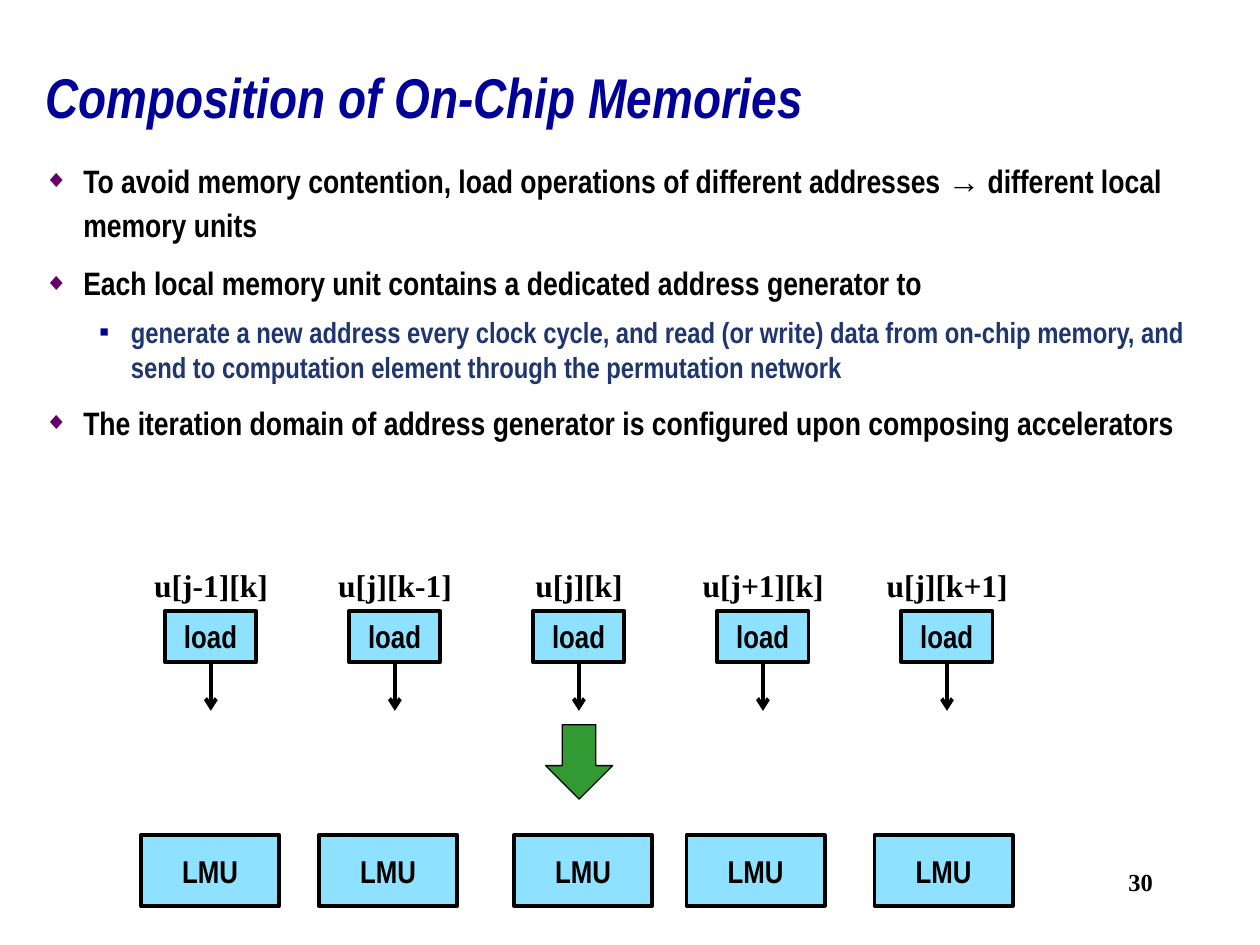
from lxml.etree import SubElement
from pptx import Presentation
from pptx.dml.color import RGBColor
from pptx.enum.shapes import MSO_CONNECTOR, MSO_SHAPE
from pptx.enum.text import MSO_ANCHOR, MSO_AUTO_SIZE, PP_ALIGN
from pptx.oxml.ns import qn
from pptx.util import Cm, Pt

# Content
TITLE = "Composition of On-Chip Memories"
PAGE_NUMBER = "30"
BULLETS = [  # level, text
    (0, "To avoid memory contention, load operations of different addresses → different local memory units"),
    (0, "Each local memory unit contains a dedicated address generator to"),
    (1, "generate a new address every clock cycle, and read (or write) data from on-chip memory, "
        "and send to computation element through the permutation network"),
    (0, "The iteration domain of address generator is configured upon composing accelerators"),
]
LOADS = ["u[j-1][k]", "u[j][k-1]", "u[j][k]", "u[j+1][k]", "u[j][k+1]"]
MEMORY_LEFTS = [2.84, 6.43, 10.36, 13.84, 17.63]

# Style
NARROW, SERIF = "Arial Narrow", "Times New Roman"
BLACK, NAVY, SKY, GREEN = "000000", "000099", "8FE2FF", "339933"
LEVELS = [
    dict(size=18.5, color=BLACK, margin=0.79, hanging=0.79, spacing=1.15, before=7.5,
         mark="◆", mark_color="660066", mark_size=75),
    dict(size=16.6, color="1F366F", margin=1.75, hanging=0.64, spacing=1.0, before=6.8,
         mark="▪", mark_color=NAVY, mark_size=100),
]
FIRST_CENTER, PITCH = 4.25, 3.71


def rgb(value):
    return RGBColor.from_string(value)


def set_font(para, name, size, color=BLACK):
    font = para.font
    font.name, font.size, font.bold = name, Pt(size), True
    font.color.rgb = rgb(color)


def add_text(left, top, width, height, text, name, size, align):
    box = page.shapes.add_textbox(Cm(left), Cm(top), Cm(width), Cm(height))
    box.text_frame.word_wrap = True
    para = box.text_frame.paragraphs[0]
    para.text, para.alignment = text, align
    set_font(para, name, size)


def add_block(kind, left, top, width, height, fill, line_width):
    block = page.shapes.add_shape(kind, Cm(left), Cm(top), Cm(width), Cm(height))
    block.shadow.inherit = False
    block.fill.solid()
    block.fill.fore_color.rgb = rgb(fill)
    block.line.color.rgb = rgb(BLACK)
    block.line.width = Pt(line_width)
    return block


def add_unit(left, top, width, height, text):
    frame = add_block(MSO_SHAPE.RECTANGLE, left, top, width, height, SKY, 2.25).text_frame
    frame.vertical_anchor = MSO_ANCHOR.MIDDLE
    para = frame.paragraphs[0]
    para.text, para.alignment = text, PP_ALIGN.CENTER
    set_font(para, NARROW, 18)


def add_down_line(x, top, bottom):
    line = page.shapes.add_connector(MSO_CONNECTOR.STRAIGHT, Cm(x), Cm(top), Cm(x), Cm(bottom))
    line.line.color.rgb = rgb(BLACK)
    line.line.width = Pt(2.25)
    SubElement(line.line._get_or_add_ln(), qn("a:tailEnd"), type="arrow")
    SubElement(line._element.spPr, qn("a:effectLst"))


def set_bullet(para, style):
    properties = para._p.get_or_add_pPr()
    properties.set("marL", str(Cm(style["margin"])))
    properties.set("indent", str(-Cm(style["hanging"])))
    color = SubElement(properties, qn("a:buClr"))
    SubElement(color, qn("a:srgbClr"), val=style["mark_color"])
    SubElement(properties, qn("a:buSzPct"), val=str(style["mark_size"] * 1000))
    SubElement(properties, qn("a:buFont"), typeface="Arial")
    SubElement(properties, qn("a:buChar"), char=style["mark"])


deck = Presentation()
deck.slide_width, deck.slide_height = Cm(25.4), Cm(19.05)
page = deck.slides.add_slide(deck.slide_layouts[5])

# Title
title = page.shapes.title
title.left, title.top, title.width, title.height = Cm(0.66), Cm(1.09), Cm(22.86), Cm(1.88)
title.text_frame.auto_size = MSO_AUTO_SIZE.NONE
title.text_frame.vertical_anchor = MSO_ANCHOR.MIDDLE
para = title.text_frame.paragraphs[0]
para.text, para.alignment, para.line_spacing = TITLE, PP_ALIGN.LEFT, 0.9
set_font(para, NARROW, 32, NAVY)
para.font.italic = True

# Bullets
body = page.shapes.add_textbox(Cm(0.64), Cm(3), Cm(24.16), Cm(6.86)).text_frame
body.word_wrap = True
for index, (level, text) in enumerate(BULLETS):
    style = LEVELS[level]
    para = body.add_paragraph() if index else body.paragraphs[0]
    para.level = level
    set_bullet(para, style)
    para.line_spacing = style["spacing"]
    para.space_before = Pt(style["before"] if index else 0)
    set_font(para, NARROW, style["size"], style["color"])
    before, arrow, after = text.partition("→")
    for part in filter(None, (before, arrow, after)):
        span = para.add_run()
        span.text = part
        if part == arrow:
            span.font.name = "Arial"

# Load operations with their addresses
for index, address in enumerate(LOADS):
    center = FIRST_CENTER + index * PITCH
    add_unit(center - 0.93, 12.32, 1.85, 1.02, "load")
    add_text(center - 1.47, 11.28, 2.95, 1.02, address, SERIF, 18, PP_ALIGN.CENTER)
    add_down_line(center, 13.31, 14.33)

# Mapping to local memory units
add_block(MSO_SHAPE.DOWN_ARROW, 11, 14.61, 1.35, 1.5, GREEN, 0.75)
for left in MEMORY_LEFTS:
    add_unit(left, 16.84, 2.79, 1.42, "LMU")

# Page number
add_text(18.21, 17.35, 5.28, 1.27, PAGE_NUMBER, SERIF, 14, PP_ALIGN.RIGHT)

deck.save("out.pptx")
